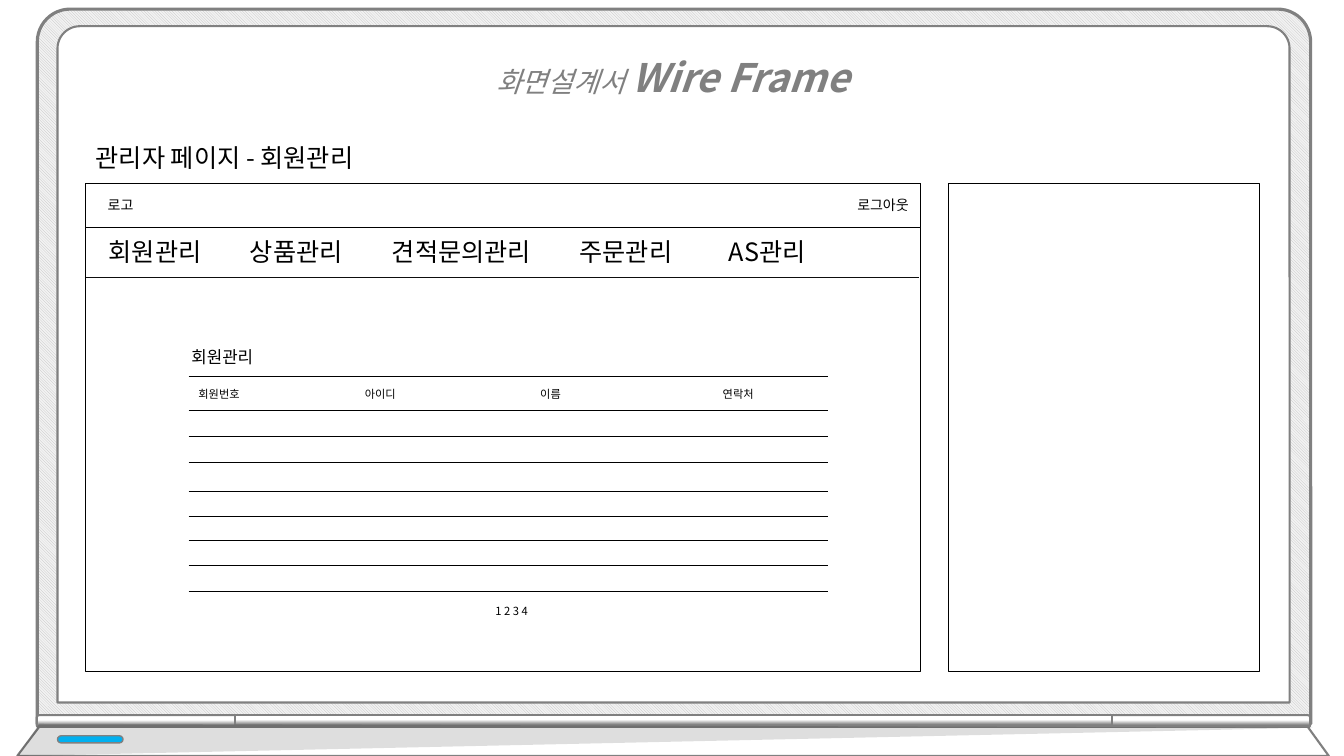
from lxml import etree
from pptx import Presentation
from pptx.dml.color import RGBColor
from pptx.enum.dml import MSO_PATTERN
from pptx.enum.shapes import MSO_CONNECTOR, MSO_SHAPE
from pptx.enum.text import MSO_AUTO_SIZE, PP_ALIGN
from pptx.oxml.ns import qn
from pptx.util import Pt

PX = 9144  # EMU per px, 100 px to the inch
FONT = "Noto Sans CJK KR"
COLORS = {
    "white": "FFFFFF", "black": "000000", "frame": "808080", "hatch": "BFBFBF",
    "shell": "F2F2F2", "light": "00B0F0", "divider": "0D0D0D",
}
RECT = MSO_SHAPE.RECTANGLE
PILL = MSO_SHAPE.ROUNDED_RECTANGLE
ROUND_TOP = MSO_SHAPE.ROUND_2_SAME_RECTANGLE
HATCH = MSO_PATTERN.LIGHT_DOWNWARD_DIAGONAL
STRAIGHT = MSO_CONNECTOR.STRAIGHT
FIT_SHAPE = MSO_AUTO_SIZE.SHAPE_TO_FIT_TEXT
LEFT, CENTER, RIGHT = PP_ALIGN.LEFT, PP_ALIGN.CENTER, PP_ALIGN.RIGHT


def color(name):
    return RGBColor.from_string(COLORS[name])


class Wireframe:
    """Draws styled elements on one page."""

    def __init__(self, page):
        self.shapes = page.shapes

    def paint(self, shape, fill, line, width):
        shape.shadow.inherit = False
        if fill:
            shape.fill.solid()
            shape.fill.fore_color.rgb = color(fill)
        if line:
            shape.line.color.rgb = color(line)
            shape.line.width = Pt(width)
        else:
            shape.line.fill.background()
        return shape

    def shape(self, kind, area, fill="white", line="frame", width=1.5, adjust=()):
        shape = self.shapes.add_shape(kind, *(value * PX for value in area))
        for index, value in enumerate(adjust):
            shape.adjustments[index] = value
        return self.paint(shape, fill, line, width)

    def hinge(self, area, rotation, corner, flip=False):
        bar = self.shape(ROUND_TOP, area, fill=None, adjust=(corner, 0))
        bar.rotation = rotation
        if flip:
            bar._element.spPr.find(qn("a:xfrm")).set("flipH", "1")
        bar.fill.gradient()
        bar.fill.gradient_angle = 0
        stops = ((0.17, "frame"), (0.59, "white"))
        for stop, (position, name) in zip(bar.fill.gradient_stops, stops):
            stop.position = position
            stop.color.rgb = color(name)

    def outline(self, points, fill, line=None, width=1.5, alpha=None):
        builder = self.shapes.build_freeform(*points[0], scale=PX)
        builder.add_line_segments(points[1:], close=True)
        shape = self.paint(builder.convert_to_shape(), fill, line, width)
        if alpha:
            tint = shape._element.spPr.find(qn("a:solidFill"))[0]
            etree.SubElement(tint, qn("a:alpha"), val=str(alpha * 1000))

    def rule(self, left, right, y, line="black"):
        rule = self.shapes.add_connector(
            STRAIGHT, left * PX, y * PX, right * PX, y * PX)
        rule.line.color.rgb = color(line)
        rule.line.width = Pt(0.5)
        etree.SubElement(rule._element.spPr, qn("a:effectLst"))

    def text(self, area, text, size, align=LEFT, ink="black", tabs=()):
        box = self.shapes.add_textbox(*(value * PX for value in area))
        box.text_frame.word_wrap = True
        box.text_frame.auto_size = FIT_SHAPE
        para = box.text_frame.paragraphs[0]
        para.alignment = align
        para.add_run().text = text
        if tabs:
            stops = etree.SubElement(para._p.pPr, qn("a:tabLst"))
            for tab in tabs:
                etree.SubElement(stops, qn("a:tab"), pos=str(tab * PX), algn="l")
        para.font.size = Pt(size)
        para.font.color.rgb = color(ink)
        para.font.name = FONT
        style = para._p.pPr.find(qn("a:defRPr"))
        etree.SubElement(style, qn("a:ea"), typeface=FONT)
        return para


def draw_laptop(frame):
    # Lid and screen
    lid = frame.shape(ROUND_TOP, (37, 9, 1263, 709), None, width=2.25,
                      adjust=(0.046, 0))
    lid.fill.patterned()
    lid.fill.pattern = HATCH
    lid.fill.fore_color.rgb = color("hatch")
    lid.fill.back_color.rgb = color("shell")
    frame.shape(ROUND_TOP, (57, 26, 1222, 671), adjust=(0.033, 0))

    # Hinge
    frame.hinge((129, 617, 12, 197), 270, 0.193)
    frame.hinge((1195, 617, 12, 197), 90, 0.193, flip=True)
    frame.hinge((662, 280, 12, 870), 270, 0)

    # Base, its shade and the power light
    frame.outline(((39, 721), (1297, 721), (1318, 750), (17, 750)),
                  "white", "frame")
    frame.outline(((39, 718), (17, 750), (1302, 722)), "black", alpha=13)
    frame.shape(PILL, (57, 730, 65, 7), "light", width=1, adjust=(0.5,))


def draw_admin_page(frame):
    # Notes panel, page window and header bar
    for area in ((941, 182, 308, 484), (85, 182, 828, 484), (85, 182, 828, 44)):
        frame.shape(RECT, area, line="black", width=1)
    frame.text((601, 190, 310, 27), "로그아웃", 10, RIGHT)
    frame.text((97, 190, 241, 27), "로고", 10)

    # Menu
    frame.rule(85, 911, 275, "divider")
    menu = ("회원관리", "상품관리", "견적문의관리", "주문관리", "AS관리")
    frame.text((98, 230, 800, 40), "\t".join(menu), 18, tabs=(140, 281, 467, 615))
    frame.text((85, 136, 311, 40), "관리자 페이지 - 회원관리", 18)

    # Member list
    frame.text((180, 339, 122, 30), "회원관리", 12)
    for y in (373, 407, 433, 459, 487, 512, 536, 561, 587):
        frame.rule(187, 821, y)
    headings = ((187, 70, "회원번호"), (352, 60, "아이디"),
                (526, 60, "이름"), (707, 60, "연락처"))
    for left, width, heading in headings:
        frame.text((left, 379, width, 24), heading, 8)
    frame.text((379, 595, 257, 24), "1 2 3 4", 8, CENTER)


def draw_title(frame):
    para = frame.text((367, 25, 600, 81), "화면설계서 ", 20, CENTER, "frame")
    para.line_spacing = 1.5
    para.font.italic = True
    span = para.add_run()
    span.text = "Wire Frame"
    span.font.size = Pt(28)
    span.font.bold = True


def main():
    deck = Presentation()
    deck.slide_width, deck.slide_height = 1333 * PX, 750 * PX
    frame = Wireframe(deck.slides.add_slide(deck.slide_layouts[6]))
    draw_laptop(frame)
    draw_admin_page(frame)
    draw_title(frame)
    deck.save("out.pptx")


if __name__ == "__main__":
    main()
